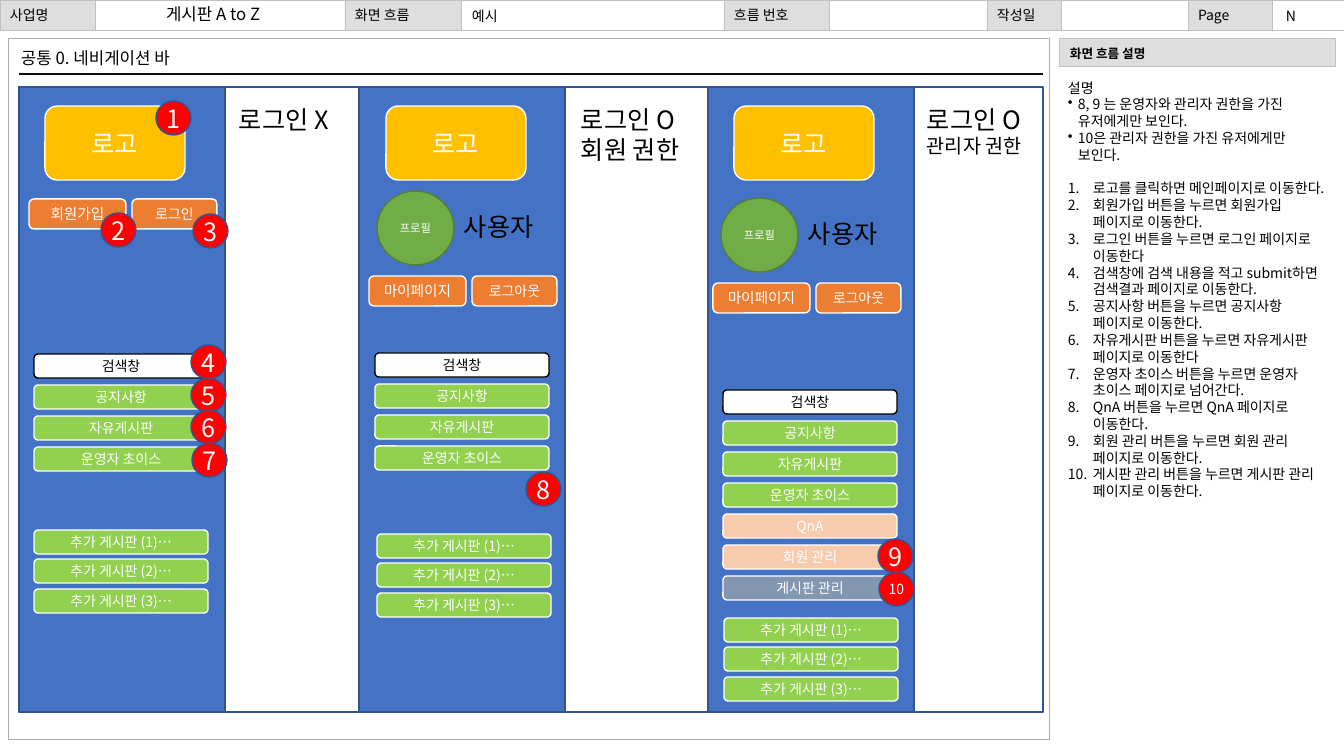
import pptx
import pptx.util
import pptx.dml.color
import pptx.enum.shapes
import pptx.enum.text
from lxml import etree
from dataclasses import dataclass

EMU_PER_PX = 914400 / 100.8
SHAPE = pptx.enum.shapes.MSO_SHAPE
ALIGN = pptx.enum.text.PP_ALIGN
ANCHOR = pptx.enum.text.MSO_ANCHOR


@dataclass(frozen=True)
class Theme:
    font: str = "Noto Sans CJK KR"
    black: str = "000000"
    white: str = "FFFFFF"
    label: str = "DEDEDE"
    label_edge: str = "C0C0C0"
    header_edge: str = "BFBFBF"
    frame_edge: str = "AFABAB"
    rule: str = "0D0D0D"
    navy: str = "325491"
    bar: str = "4472C4"
    logo: str = "FFC000"
    account: str = "ED7D31"
    board: str = "92D050"
    staff: str = "F8CBAD"
    admin: str = "8497B0"
    profile: str = "70AD47"
    profile_edge: str = "538035"
    badge: str = "FF0000"
    tiny: float = 8
    note_title: float = 9
    body: float = 10
    button: float = 10.5
    heading: float = 12
    role: float = 14
    large: float = 18


THEME = Theme()


def px(length):
    return pptx.util.Emu(round(length * EMU_PER_PX))


def rgb(color):
    return pptx.dml.color.RGBColor.from_string(color)


def put_text(frame, text, size=THEME.body, color=THEME.black, bold=False,
             align=ALIGN.LEFT, anchor=ANCHOR.TOP, wrap=True, inset=(10, 5)):
    """Fill a frame, one paragraph a line; size may be a list, one per line."""
    frame.word_wrap = wrap
    frame.vertical_anchor = anchor
    frame.margin_left = frame.margin_right = px(inset[0])
    frame.margin_top = frame.margin_bottom = px(inset[1])
    lines = text.split("\n")
    sizes = size if isinstance(size, list) else [size] * len(lines)
    for i, (line, points) in enumerate(zip(lines, sizes)):
        paragraph = frame.add_paragraph() if i else frame.paragraphs[0]
        paragraph.alignment = align
        run = paragraph.add_run()
        run.text = line
        run.font.size = pptx.util.Pt(points)
        run.font.bold = bold
        run.font.name = THEME.font
        run.font.color.rgb = rgb(color)
        east_asian = etree.SubElement(run.font._element, pptx.oxml.ns.qn("a:ea"))
        east_asian.set("typeface", THEME.font)


def add_box(slide, kind, box, fill, edge, weight=1.0):
    shape = slide.shapes.add_shape(kind, *map(px, box))
    shape.shadow.inherit = False
    if fill:
        shape.fill.solid()
        shape.fill.fore_color.rgb = rgb(fill)
    else:
        shape.fill.background()
    shape.line.color.rgb = rgb(edge)
    shape.line.width = pptx.util.Pt(weight)
    return shape


def add_label(slide, box, text, weight=0.5, **style):
    label = add_box(slide, SHAPE.RECTANGLE, box, THEME.label, THEME.label_edge, weight)
    put_text(label.text_frame, text, anchor=ANCHOR.MIDDLE, **style)


def add_text(slide, box, text, **style):
    frame = slide.shapes.add_textbox(*map(px, box)).text_frame
    put_text(frame, text, **style)
    return frame


def add_button(slide, box, text, fill, edge=THEME.white, color=THEME.white,
               size=THEME.body, kind=SHAPE.ROUNDED_RECTANGLE):
    button = add_box(slide, kind, box, fill, edge)
    put_text(button.text_frame, text, size=size, color=color, align=ALIGN.CENTER,
             anchor=ANCHOR.MIDDLE, wrap=False, inset=(0, 0))


def add_rule(slide, x1, y, x2):
    rule = slide.shapes.add_connector(pptx.enum.shapes.MSO_CONNECTOR.STRAIGHT,
                                      px(x1), px(y), px(x2), px(y))
    rule.line.color.rgb = rgb(THEME.rule)
    rule.line.width = pptx.util.Pt(1.5)
    etree.SubElement(rule._element.spPr, pptx.oxml.ns.qn("a:effectLst"))


def add_bullet(paragraph, indent, tag, **attributes):
    properties = paragraph._p.get_or_add_pPr()
    properties.set("marL", str(px(indent)))
    properties.set("indent", str(-px(indent)))
    etree.SubElement(properties, pptx.oxml.ns.qn(tag), attributes)


def add_account_buttons(slide, x, y, first, second):
    add_button(slide, (x, y, 97, 30), first, THEME.account, size=THEME.button)
    add_button(slide, (x + 103, y, 85, 30), second, THEME.account)


def add_profile(slide, x, y):
    add_button(slide, (x, y, 77, 74), "프로필", THEME.profile, THEME.profile_edge,
               size=THEME.tiny, kind=SHAPE.OVAL)
    add_text(slide, (x + 77, y + 15, 97, 40), "사용자", size=THEME.large, wrap=False)
    add_account_buttons(slide, x - 8, y + 85, "마이페이지", "로그아웃")


def add_navigation(slide, x, logo_x, menu, extras, boards):
    """One blue bar: logo, search field, boards and extra boards."""
    add_box(slide, SHAPE.RECTANGLE, (x, 87, 206, 625), THEME.bar, THEME.navy)
    add_button(slide, (logo_x, 106, 140, 74), "로고", THEME.logo, size=THEME.large)
    menu_x, menu_y = menu
    add_button(slide, (menu_x, menu_y, 174, 24), "검색창", THEME.white, THEME.black, THEME.black)
    for i, (name, fill) in enumerate(boards, 1):
        add_button(slide, (menu_x, menu_y + 31 * i, 174, 24), name, fill)
    extra_x, extra_y = extras
    for i in range(3):
        add_button(slide, (extra_x, extra_y + 59 * i // 2, 174, 24),
                   f"추가 게시판 ({i + 1})…", THEME.board)


def add_header(slide):
    add_box(slide, SHAPE.RECTANGLE, (0, 0, 1344, 30), None, THEME.header_edge, 0.5)
    for x, width, text in [(0, 95, "사업명"), (345, 116, "화면 흐름"), (724, 105, "흐름 번호"),
                           (987, 74, "작성일"), (1188, 84, "Page")]:
        add_label(slide, (x, 0, width, 30), text)
    add_text(slide, (156, -1, 126, 30), "게시판 A to Z", size=THEME.heading, wrap=False)
    add_text(slide, (462, 0, 262, 31), "예시", anchor=ANCHOR.MIDDLE)
    add_text(slide, (1276, 0, 62, 31), "N", anchor=ANCHOR.MIDDLE)


def add_description(slide):
    add_label(slide, (1060, 39, 276, 28), "화면 흐름 설명", weight=0.75,
              size=THEME.note_title, bold=True)
    notes = ["8, 9 는 운영자와 관리자 권한을 가진 유저에게만 보인다.",
             "10은 관리자 권한을 가진 유저에게만 보인다."]
    steps = ["로고를 클릭하면 메인페이지로 이동한다.",
             "회원가입 버튼을 누르면 회원가입 페이지로 이동한다.",
             "로그인 버튼을 누르면 로그인 페이지로 이동한다",
             "검색창에 검색 내용을 적고 submit하면 검색결과 페이지로 이동한다.",
             "공지사항 버튼을 누르면 공지사항 페이지로 이동한다.",
             "자유게시판 버튼을 누르면 자유게시판 페이지로 이동한다",
             "운영자 초이스 버튼을 누르면 운영자 초이스 페이지로 넘어간다.",
             "QnA 버튼을 누르면 QnA 페이지로 이동한다.",
             "회원 관리 버튼을 누르면 회원 관리 페이지로 이동한다.",
             "게시판 관리 버튼을 누르면 게시판 관리 페이지로 이동한다."]
    frame = add_text(slide, (1058, 74, 275, 485), "\n".join(["설명"] + notes + steps))
    first_step = 1 + len(notes)
    frame.paragraphs[first_step].space_before = pptx.util.Pt(12)
    for paragraph in frame.paragraphs[1:first_step]:
        add_bullet(paragraph, 10, "a:buChar", char="•")
    for paragraph in frame.paragraphs[first_step:]:
        add_bullet(paragraph, 25, "a:buAutoNum", type="arabicPeriod")


def main():
    deck = pptx.Presentation()
    deck.slide_width, deck.slide_height = px(1344), px(756)
    slide = deck.slides.add_slide(deck.slide_layouts[6])

    # Header and page frame
    add_header(slide)
    add_box(slide, SHAPE.RECTANGLE, (8, 39, 1042, 701), None, THEME.frame_edge, 0.75)
    add_text(slide, (11, 43, 341, 30), "공통 0. 네비게이션 바", size=THEME.heading)
    add_rule(slide, 19, 74, 1043)
    add_description(slide)

    # Navigation bars for guest, member and administrator
    add_box(slide, SHAPE.RECTANGLE, (19, 87, 1024, 625), THEME.white, THEME.navy)
    boards = [(name, THEME.board) for name in ("공지사항", "자유게시판", "운영자 초이스")]
    managed = [("QnA", THEME.staff), ("회원 관리", THEME.staff), ("게시판 관리", THEME.admin)]
    add_navigation(slide, 19, 45, (34, 354), (34, 530), boards)
    add_account_buttons(slide, 29, 199, "회원가입", "로그인")
    add_navigation(slide, 359, 386, (375, 353), (377, 534), boards)
    add_profile(slide, 377, 191)
    add_navigation(slide, 708, 734, (723, 390), (724, 618), boards + managed)
    add_profile(slide, 721, 198)

    # Login states
    for x, width, text, sizes in [
            (229, 121, "로그인 X", [THEME.large]),
            (571, 131, "로그인 O\n회원 권한", [THEME.large, THEME.large]),
            (917, 125, "로그인 O\n관리자 권한", [THEME.large, THEME.role])]:
        add_text(slide, (x, 99, width, 40 if len(sizes) == 1 else 68), text,
                 size=sizes, wrap=False)

    # Numbered badges
    badges = [(156, 101), (101, 213), (193, 214), (191, 345), (191, 378),
              (191, 410), (192, 443), (526, 472), (878, 539), (879, 572)]
    for number, (x, y) in enumerate(badges, 1):
        add_button(slide, (x, y, 35, 34), str(number), THEME.badge, THEME.navy,
                   size=THEME.large if number < 10 else THEME.body, kind=SHAPE.OVAL)

    deck.save("out.pptx")


main()
